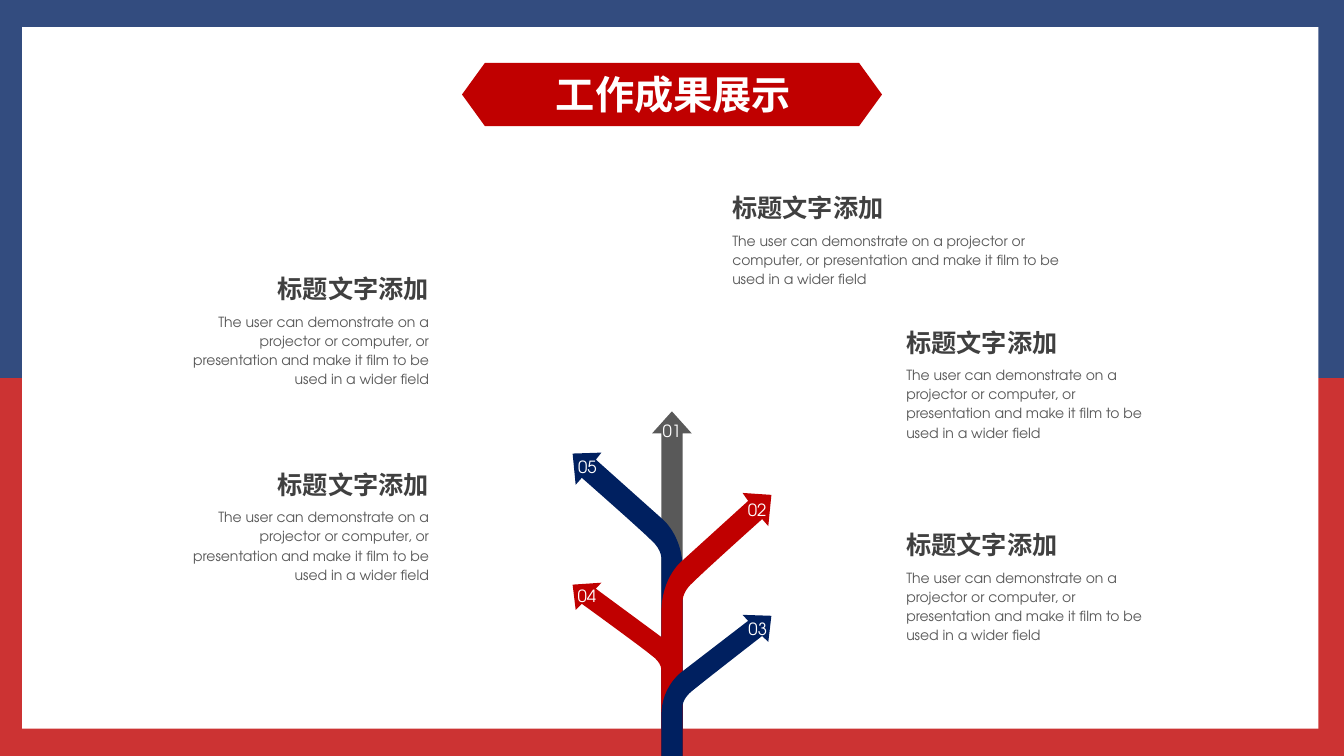
from dataclasses import dataclass

from lxml import etree
from pptx import Presentation
from pptx.dml.color import RGBColor
from pptx.enum.shapes import MSO_SHAPE
from pptx.enum.text import MSO_ANCHOR, MSO_AUTO_SIZE, PP_ALIGN
from pptx.oxml.ns import qn
from pptx.util import Pt

RECTANGLE = MSO_SHAPE.RECTANGLE
TOP, MIDDLE = MSO_ANCHOR.TOP, MSO_ANCHOR.MIDDLE
LEFT, CENTER, RIGHT = PP_ALIGN.LEFT, PP_ALIGN.CENTER, PP_ALIGN.RIGHT
GROW, FIXED = MSO_AUTO_SIZE.SHAPE_TO_FIT_TEXT, MSO_AUTO_SIZE.NONE

WIDTH, HEIGHT = 960, 540
AXIS = 480
TRUNK = 7.6
HEADING = "标题文字添加"
BODY = ("The user can demonstrate on a projector or computer, "
        "or presentation and make it film to be used in a wider field")


@dataclass(frozen=True)
class Theme:
    navy: str = "002060"
    red: str = "C00000"
    gray: str = "595959"
    dark: str = "404040"
    white: str = "FFFFFF"
    latin: str = "TeX Gyre Adventor"
    chinese: str = "Noto Sans CJK SC"
    title: int = 28
    heading: int = 18
    label: int = 12
    body: int = 10


def bend_lines(shape, curve_starts):
    """Merge three lines into one Bezier curve at each of the given line indexes."""
    lines = list(shape._element.iter(qn("a:lnTo")))
    for index in curve_starts:
        curve = etree.Element(qn("a:cubicBezTo"))
        lines[index].addprevious(curve)
        for line in lines[index:index + 3]:
            curve.append(line[0])
            line.getparent().remove(line)


def write(frame, text, *, size, color, latin, chinese, bold=False, align=LEFT,
          spacing=None, anchor=TOP, fit=GROW, wrap=True, inset=None):
    frame.word_wrap = wrap
    frame.auto_size = fit
    frame.vertical_anchor = anchor
    if inset is not None:
        frame.margin_left = frame.margin_right = Pt(inset)
        frame.margin_top = frame.margin_bottom = Pt(inset)
    paragraph = frame.paragraphs[0]
    paragraph.alignment = align
    if spacing:
        paragraph.line_spacing = spacing
    run = paragraph.add_run()
    run.text = text
    run.font.size = Pt(size)
    run.font.bold = bold
    run.font.name = latin
    run.font.color.rgb = RGBColor.from_string(color)
    etree.SubElement(run._r.get_or_add_rPr(), qn("a:ea"), typeface=chinese)


class TreeSlide:
    def __init__(self, slide, theme):
        self.slide = slide
        self.theme = theme

    def paint(self, shape, color, opacity=None):
        shape.shadow.inherit = False
        shape.line.fill.background()
        shape.fill.solid()
        shape.fill.fore_color.rgb = RGBColor.from_string(color)
        if opacity:
            rgb = shape.fill._xPr.find(qn("a:solidFill"))[0]
            etree.SubElement(rgb, qn("a:alpha"), val=str(opacity * 1000))

    def panel(self, x, y, width, height, color, opacity=None):
        panel = self.slide.shapes.add_shape(
            RECTANGLE, Pt(x), Pt(y), Pt(width), Pt(height))
        self.paint(panel, color, opacity)

    def outline(self, points, color, curve_starts=()):
        start, *rest = [(Pt(x), Pt(y)) for x, y in points]
        builder = self.slide.shapes.build_freeform(*start)
        builder.add_line_segments(rest, close=True)
        shape = builder.convert_to_shape()
        bend_lines(shape, curve_starts)
        self.paint(shape, color)

    def text(self, text, x, y, width, height, **style):
        box = self.slide.shapes.add_textbox(Pt(x), Pt(y), Pt(width), Pt(height))
        style = {"latin": self.theme.latin, "chinese": self.theme.chinese, **style}
        write(box.text_frame, text, **style)

    def label(self, number, x, y, width, height):
        self.text(number, x, y, width, height, size=self.theme.label,
                  color=self.theme.white, align=CENTER, anchor=MIDDLE,
                  fit=FIXED, inset=0)

    def trunk_arrow(self, number, top, color):
        half, neck = 14.2, top + 15.8
        right = [(TRUNK, HEIGHT), (TRUNK, neck), (half, neck)]
        left = [(-x, y) for x, y in reversed(right)]
        self.outline([(AXIS + x, y) for x, y in right + [(0, top)] + left], color)
        self.label(number, AXIS - half, top, 2 * half, 27.4)

    def branch(self, number, side, color, label_x, label_height, levels):
        """Draw a branch; side is -1 for left and 1 for right of the trunk."""
        (joint, joint_bend, elbow, elbow_bend, low_neck, low_barb,
         tip, high_barb, high_neck, fork, fork_bend, root) = levels
        points = [
            (TRUNK, HEIGHT), (TRUNK, joint),
            (TRUNK, joint), (6.5, joint_bend), (14.8, elbow),
            (22.7, elbow_bend), (64.4, low_neck), (64.4, low_neck),
            (68.8, low_barb), (71, tip), (50.4, high_barb), (54.4, high_neck),
            (TRUNK, fork),
            (TRUNK, fork), (-TRUNK, fork_bend), (-TRUNK, root),
            (-TRUNK, HEIGHT),
        ]
        self.outline([(AXIS + side * x, y) for x, y in points], color,
                     curve_starts=(1, 4, 12))
        self.label(number, label_x, high_barb, 20.4, label_height)

    def caption(self, edge, heading_y, body_y, width, height, align):
        """Place a heading and its text; edge is the side that they align to."""
        def left_of(box_width):
            return edge - box_width if align == RIGHT else edge

        self.text(HEADING, left_of(167.8), heading_y, 167.8, 29.1, bold=True,
                  size=self.theme.heading, color=self.theme.dark, align=align)
        self.text(BODY, left_of(width), body_y, width, height, size=self.theme.body,
                  color=self.theme.gray, align=align, spacing=1.14)

    def title(self, text):
        self.outline([(346.3, 45), (AXIS, 45), (613.7, 45), (630, 67.5),
                      (613.7, 90), (AXIS, 90), (346.3, 90), (330, 67.5)],
                     self.theme.red)
        title = self.slide.shapes.title
        title.left, title.top = Pt(388.8), Pt(46.8)
        title.width, title.height = Pt(184.3), Pt(41)
        write(title.text_frame, text, size=self.theme.title, color=self.theme.white,
              latin=self.theme.chinese, chinese=self.theme.chinese, bold=True,
              align=CENTER, wrap=False)
        self.slide.shapes._spTree.append(title._element)  # above the banner


def main():
    deck = Presentation()
    deck.slide_width, deck.slide_height = Pt(WIDTH), Pt(HEIGHT)
    theme = Theme()
    page = TreeSlide(deck.slides.add_slide(deck.slide_layouts[5]), theme)

    page.panel(0, 0, WIDTH, HEIGHT / 2, theme.navy, opacity=80)
    page.panel(0, HEIGHT / 2, WIDTH, HEIGHT / 2, theme.red, opacity=80)
    page.panel(15.9, 19.4, 925.9, 501.1, theme.white)

    page.trunk_arrow("01", 293.8, theme.gray)
    branches = [
        ("05", -1, theme.navy, 409.4, 20.9,
         (400.3, 393.1, 385.9, 378, 341.3, 346.3,
          324, 323.3, 328.3, 370.1, 381.6, 406.8)),
        ("02", 1, theme.red, 530.6, 23.8,
         (430.6, 423.4, 416.2, 408.2, 370.8, 375.8,
          353.5, 352.1, 357.8, 400.3, 411.8, 437.8)),
        ("04", -1, theme.red, 409, 18,
         (479.5, 473.8, 468, 461.5, 431.3, 435.6,
          417.6, 416.2, 420.5, 455, 464.4, 485.3)),
        ("03", 1, theme.navy, 531.1, 19.4,
         (505.4, 499.7, 493.2, 486.7, 454.3, 458.6,
          439.9, 439.2, 443.5, 479.5, 489.6, 511.2)),
    ]
    for branch in branches:
        page.branch(*branch)

    captions = [
        (313.4, 331.9, 358.2, 185, 62.6, RIGHT),
        (313.4, 191.5, 218.4, 185, 62.6, RIGHT),
        (516, 133.9, 160.5, 249.8, 49, LEFT),
        (640.3, 230.4, 256.7, 185, 62.6, LEFT),
        (640.3, 374.4, 401.3, 185, 62.6, LEFT),
    ]
    for caption in captions:
        page.caption(*caption)

    page.title("工作成果展示")
    deck.save("out.pptx")


if __name__ == "__main__":
    main()
